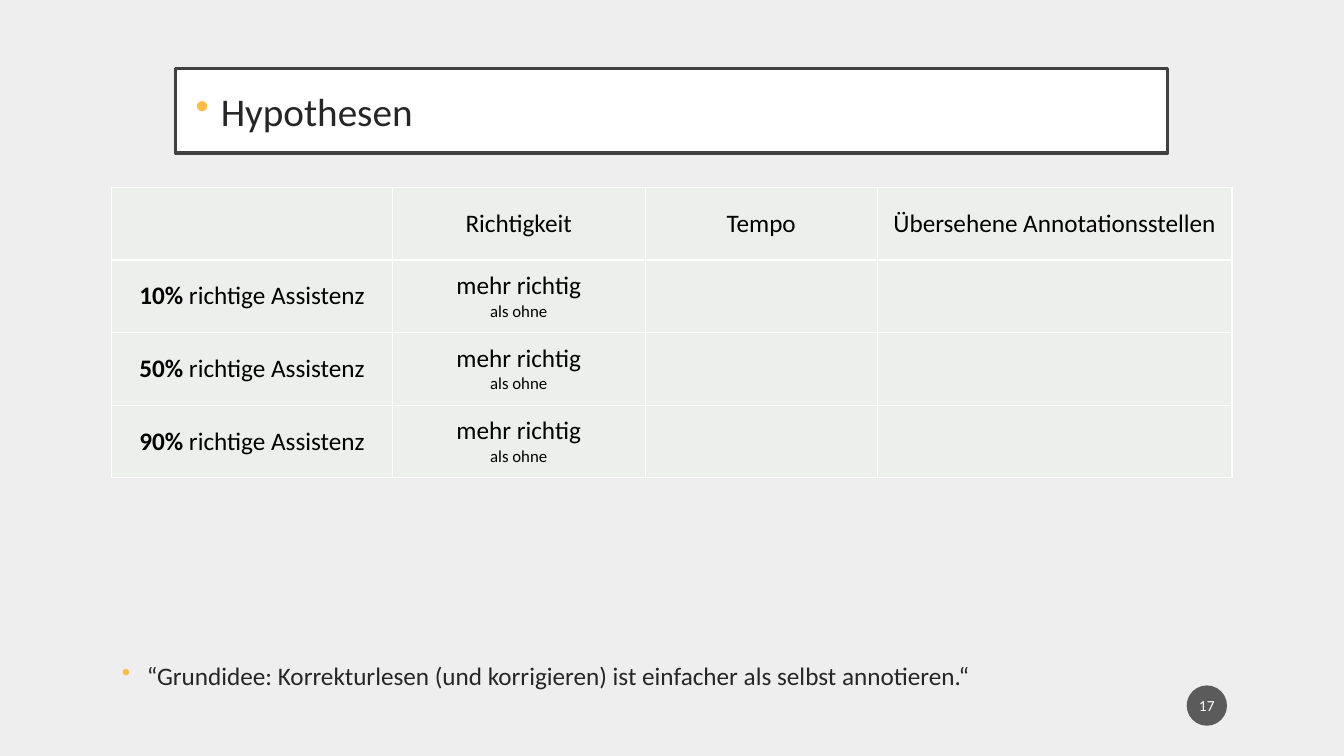
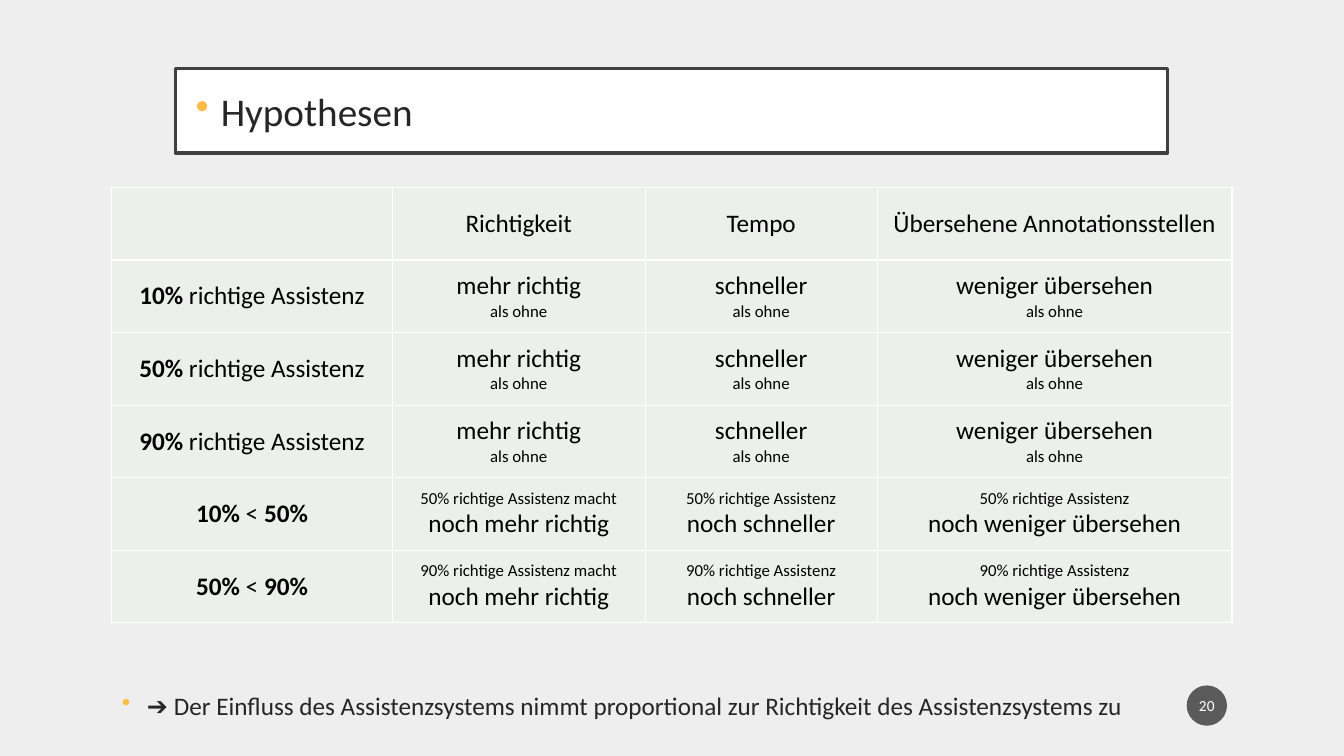
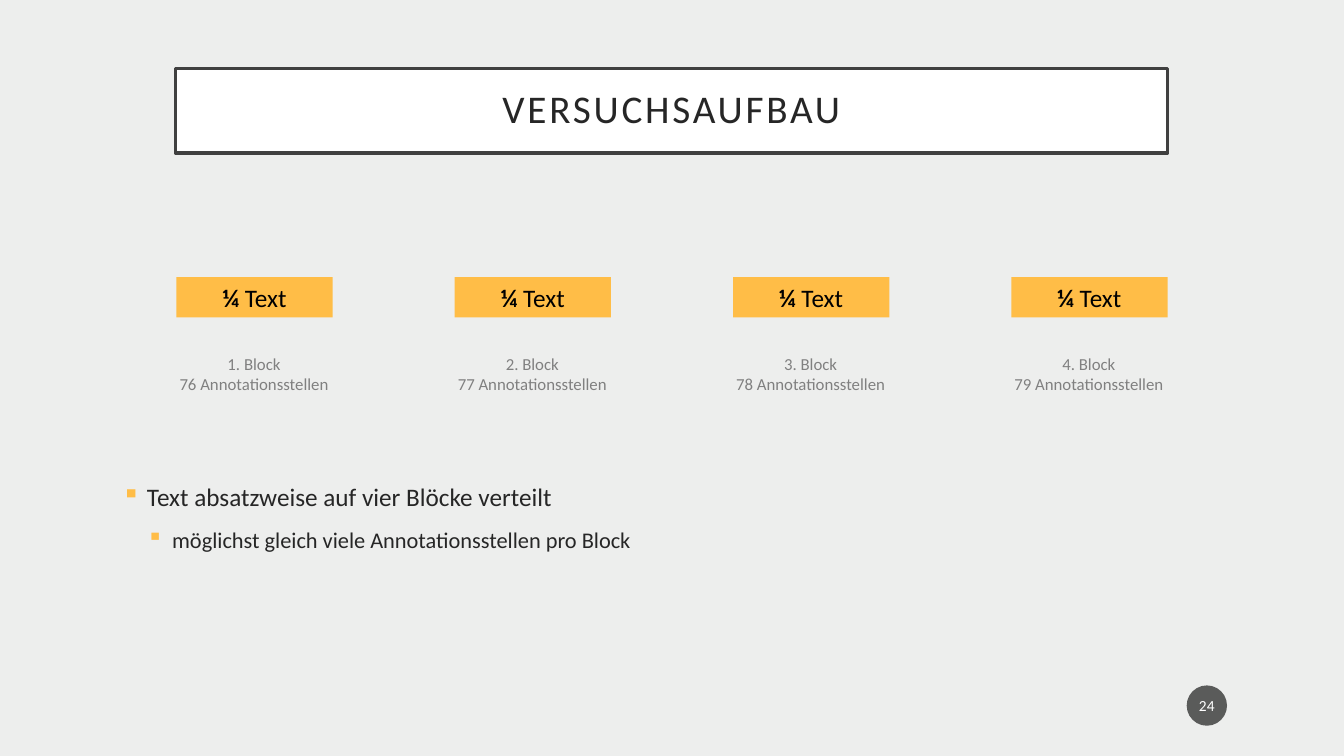
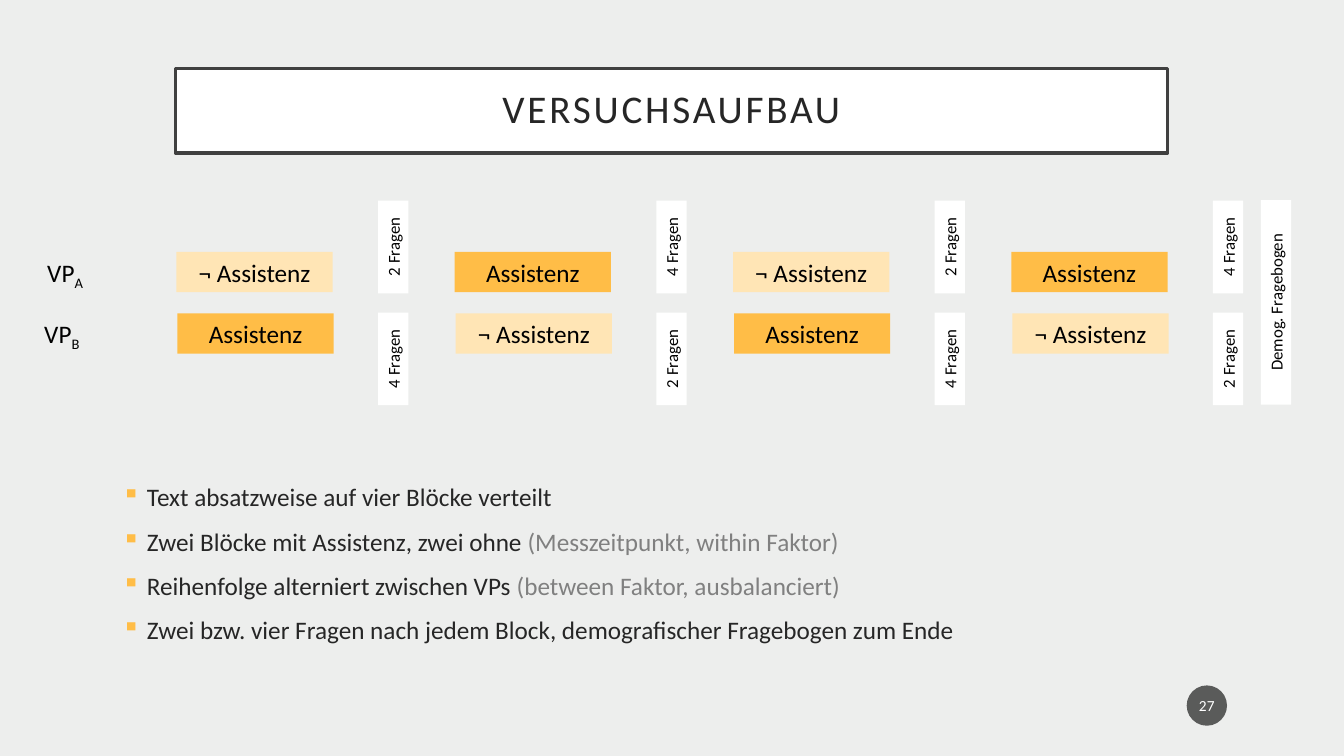
from dataclasses import dataclass
from typing import Optional

from lxml.etree import SubElement
from pptx import Presentation
from pptx.dml.color import RGBColor
from pptx.enum.shapes import MSO_SHAPE
from pptx.enum.text import MSO_ANCHOR, PP_ALIGN
from pptx.oxml.ns import qn
from pptx.util import Inches, Pt

BACKGROUND = RGBColor(0xED, 0xEE, 0xED)
CELL = RGBColor(0xED, 0xEF, 0xED)
WHITE = RGBColor(0xFF, 0xFF, 0xFF)
BLACK = RGBColor(0x00, 0x00, 0x00)
INK = RGBColor(0x26, 0x26, 0x26)
FRAME = RGBColor(0x40, 0x40, 0x40)
BADGE = RGBColor(0x1D, 0x1D, 0x1D)
GREY = RGBColor(0x80, 0x80, 0x80)
AMBER = RGBColor(0xFF, 0xBD, 0x47)
PALE_AMBER = RGBColor(0xFF, 0xE5, 0xB5)
FONT = "Calibri"

BLOCK_LEFT, BLOCK_STEP = 1.75, 2.76
BLOCK_WIDTH, BLOCK_HEIGHT = 1.55, 0.4
COLUMN_WIDTHS = (2.78, 2.51, 2.3, 3.52)
ROW_HEIGHT = 0.72


@dataclass(frozen=True)
class Run:
    text: str
    size: Optional[float] = None
    bold: Optional[bool] = None
    color: Optional[RGBColor] = None
    attributes: tuple = ()


@dataclass(frozen=True)
class Para:
    runs: tuple
    size: float = 18
    color: RGBColor = BLACK
    align: PP_ALIGN = PP_ALIGN.CENTER
    bullet: str = ""
    level: int = 0
    before: float = 0
    line_spacing: Optional[float] = None


@dataclass(frozen=True)
class Box:
    left: float
    top: float
    width: float
    height: float


def line(text: str, **style) -> Para:
    return Para((Run(text),), **style)


def bullet(*runs: Run, mark: str = "▪", **style) -> Para:
    return Para(runs, color=INK, align=PP_ALIGN.LEFT, bullet=mark, **style)


def write(frame, paras, anchor=MSO_ANCHOR.TOP) -> None:
    frame.word_wrap = True
    frame.vertical_anchor = anchor
    for index, para in enumerate(paras):
        paragraph = frame.paragraphs[0] if index == 0 else frame.add_paragraph()
        paragraph.alignment = para.align
        if para.line_spacing:
            paragraph.line_spacing = para.line_spacing
        if index and para.before:
            paragraph.space_before = Pt(para.before)
        if para.bullet:
            properties = paragraph._p.get_or_add_pPr()
            properties.set("marL", str(Inches(0.25 * (para.level + 1))))
            properties.set("indent", str(Inches(-0.25)))
            color = SubElement(properties, qn("a:buClr"))
            SubElement(color, qn("a:srgbClr")).set("val", str(AMBER))
            SubElement(properties, qn("a:buChar")).set("char", para.bullet)
        paragraph.font.name = FONT
        paragraph.font.size = Pt(para.size)
        paragraph.font.color.rgb = para.color
        for part in para.runs:
            run = paragraph.add_run()
            run.text = part.text
            if part.size:
                run.font.size = Pt(part.size)
            if part.bold is not None:
                run.font.bold = part.bold
            if part.color is not None:
                run.font.color.rgb = part.color
            for name, value in part.attributes:
                run._r.get_or_add_rPr().set(name, value)


def place(box: Box) -> tuple:
    return tuple(Inches(v) for v in (box.left, box.top, box.width, box.height))


def add_text(slide, box: Box, paras, anchor=MSO_ANCHOR.TOP, bottom: float = 0.05) -> None:
    frame = slide.shapes.add_textbox(*place(box)).text_frame
    frame.margin_bottom = Inches(bottom)
    write(frame, paras, anchor)


def add_panel(slide, box: Box, fill: RGBColor, paras, preset=MSO_SHAPE.RECTANGLE):
    panel = slide.shapes.add_shape(preset, *place(box))
    panel.shadow.inherit = False
    panel.fill.solid()
    panel.fill.fore_color.rgb = fill
    panel.line.fill.background()
    write(panel.text_frame, paras, MSO_ANCHOR.MIDDLE)
    return panel


def add_slide(deck, title: Para, number: int):
    slide = deck.slides.add_slide(deck.slide_layouts[6])
    heading = add_panel(slide, Box(1.74, 0.68, 9.84, 0.84), WHITE, [title])
    heading.line.color.rgb = FRAME
    heading.line.width = Pt(2.5)
    frame = heading.text_frame
    frame.margin_left = frame.margin_right = Inches(0.2)
    frame.margin_top = frame.margin_bottom = Inches(0.2)
    badge = add_panel(slide, Box(11.77, 6.8, 0.4, 0.4), BADGE,
                      [line(str(number), size=11, color=WHITE)], MSO_SHAPE.OVAL)
    badge.text_frame.margin_left = badge.text_frame.margin_right = Inches(0.02)
    shade = badge.fill._xPr.find(qn("a:solidFill"))[0]
    SubElement(shade, qn("a:alpha")).set("val", "70000")
    return slide


def add_hypotheses(slide, rows) -> None:
    box = Box(1.11, 1.86, sum(COLUMN_WIDTHS), ROW_HEIGHT * len(rows))
    table = slide.shapes.add_table(len(rows), len(COLUMN_WIDTHS), *place(box)).table
    for column, width in zip(table.columns, COLUMN_WIDTHS):
        column.width = Inches(width)
    for row, contents in zip(table.rows, rows):
        row.height = Inches(ROW_HEIGHT)
        for cell, paras in zip(row.cells, contents):
            write(cell.text_frame, paras)
            cell.vertical_anchor = MSO_ANCHOR.MIDDLE
            properties = cell._tc.get_or_add_tcPr()
            for side in ("a:lnL", "a:lnR", "a:lnT", "a:lnB"):
                border = SubElement(properties, qn(side), w=str(Pt(1)))
                fill = SubElement(border, qn("a:solidFill"))
                SubElement(fill, qn("a:srgbClr")).set("val", str(WHITE))
            cell.fill.solid()
            cell.fill.fore_color.rgb = CELL


def header_row() -> list:
    labels = ("Richtigkeit", "Tempo", "Übersehene Annotationsstellen")
    return [[]] + [[line(label)] for label in labels]


def assistance_row(share: str, *effects: str) -> list:
    label = Para((Run(share, bold=True), Run(" richtige Assistenz", bold=False)))
    cells = [[line(effect), line("als ohne", size=12)] for effect in effects]
    return [[label]] + cells + [[]] * (3 - len(effects))


def comparison_row(low: str, high: str) -> list:
    label = Para((Run(low, bold=True), Run(" < ", bold=False), Run(high, bold=True)))
    subject = f"{high} richtige Assistenz"
    correct = Para((Run(f"{subject} macht ", size=12), Run("noch mehr richtig")))
    others = [[line(subject, size=12), line(effect)]
              for effect in ("noch schneller", "noch weniger übersehen")]
    return [[label], [correct]] + others


def block_box(index: int, top: float, shift: float = 0) -> Box:
    return Box(BLOCK_LEFT + shift + BLOCK_STEP * index, top, BLOCK_WIDTH, BLOCK_HEIGHT)


def add_question_strip(slide, box: Box, text: str) -> None:
    strip = add_panel(slide, box, WHITE, [line(text, size=12)])
    strip.rotation = 270


def add_group(slide, name: str, label_left: float, top: float, shift: float,
              strip_top: float, assisted_first: bool) -> None:
    label = Para((Run("VP"), Run(name, attributes=(("baseline", "-25000"),))),
                 align=PP_ALIGN.LEFT)
    add_text(slide, Box(label_left, top, 1.21, BLOCK_HEIGHT), [label])
    for index in range(4):
        assisted = (index % 2 == 0) == assisted_first
        add_panel(slide, block_box(index, top, shift), AMBER if assisted else PALE_AMBER,
                  [line("Assistenz" if assisted else "¬ Assistenz")])
        add_question_strip(slide, Box(3.44 + BLOCK_STEP * index, strip_top, 0.92, 0.3),
                           "4 Fragen" if assisted else "2 Fragen")


def main() -> None:
    deck = Presentation()
    deck.slide_width, deck.slide_height = Inches(13.33), Inches(7.5)
    backdrop = deck.slide_master.background.fill
    backdrop.solid()
    backdrop.fore_color.rgb = BACKGROUND

    hypotheses = bullet(Run("Hypothesen"), mark="•", size=28)
    setup = Para((Run("VERSUCHSAUFBAU", attributes=(("spc", "200"),)),),
                 size=28, color=INK, line_spacing=0.9)
    shares = ("10%", "50%", "90%")

    idea = add_slide(deck, hypotheses, 17)
    add_hypotheses(idea, [header_row()] + [assistance_row(s, "mehr richtig") for s in shares])
    add_text(idea, Box(1.11, 5.48, 10.47, 1.72), [bullet(
        Run("“Grundidee: Korrekturlesen (und korrigieren) ist einfacher als selbst annotieren.“"),
        mark="•")], MSO_ANCHOR.BOTTOM, bottom=0.35)

    influence = add_slide(deck, hypotheses, 20)
    effects = ("mehr richtig", "schneller", "weniger übersehen")
    add_hypotheses(influence, [header_row()]
                   + [assistance_row(s, *effects) for s in shares]
                   + [comparison_row(*pair) for pair in zip(shares, shares[1:])])
    add_text(influence, Box(1.11, 6.4, 10.47, 0.8), [bullet(
        Run("➔ Der Einfluss des Assistenzsystems nimmt proportional zur Richtigkeit "
            "des Assistenzsystems zu"), mark="•")], MSO_ANCHOR.BOTTOM)

    notes_box = Box(1.11, 4.73, 11.1, 2.02)
    split = bullet(Run("Text absatzweise auf vier Blöcke verteilt"))

    blocks = add_slide(deck, setup, 24)
    for index in range(4):
        add_panel(blocks, block_box(index, 2.75), AMBER,
                  [Para((Run("¼ ", bold=True), Run("Text", bold=False)))])
        add_text(blocks, Box(1.57 + BLOCK_STEP * index, 3.46, 1.9, 0.5),
                 [line(text, size=12, color=GREY) for text in
                  (f"{index + 1}. Block", f"{76 + index} Annotationsstellen")])
    add_text(blocks, notes_box, [split, bullet(
        Run("möglichst gleich viele Annotationsstellen pro Block"),
        size=16, level=1, before=10)])

    procedure = add_slide(deck, setup, 27)
    add_group(procedure, "A", 0.37, 2.5, 0, 2.3, False)
    add_group(procedure, "B", 0.34, 3.11, 0.01, 3.41, True)
    add_question_strip(procedure, Box(11.64, 2.85, 2.03, 0.3), "Demog. Fragebogen")
    add_text(procedure, notes_box, [
        split,
        bullet(Run("Zwei Blöcke mit Assistenz, zwei ohne "),
               Run("(Messzeitpunkt, within Faktor)", color=GREY), before=10),
        bullet(Run("Reihenfolge alterniert zwischen VPs "),
               Run("(between Faktor, ausbalanciert)", color=GREY), before=10),
        bullet(Run("Zwei bzw. vier Fragen nach jedem Block, "
                   "demografischer Fragebogen zum Ende"), before=10),
    ])

    deck.save("out.pptx")


if __name__ == "__main__":
    main()
